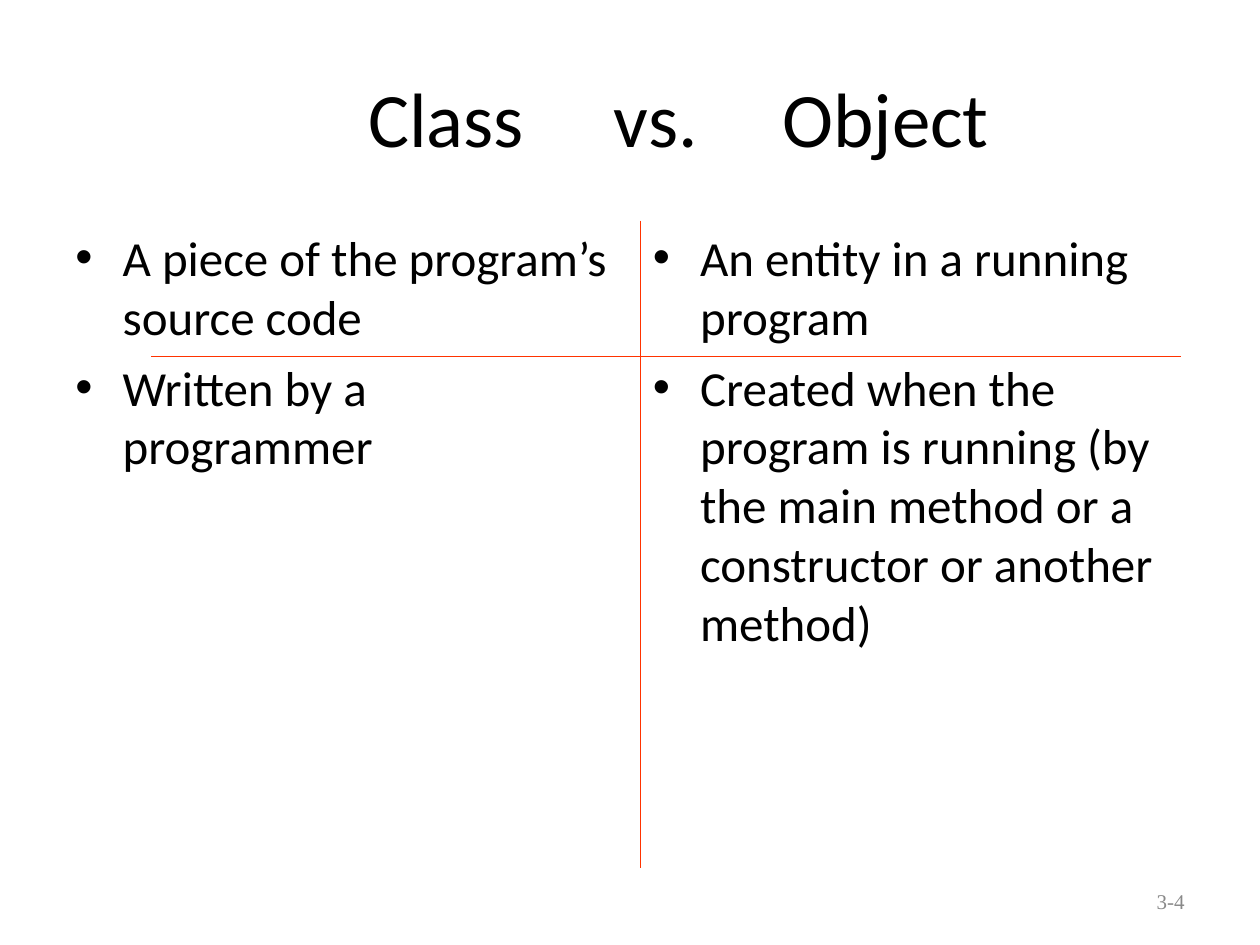
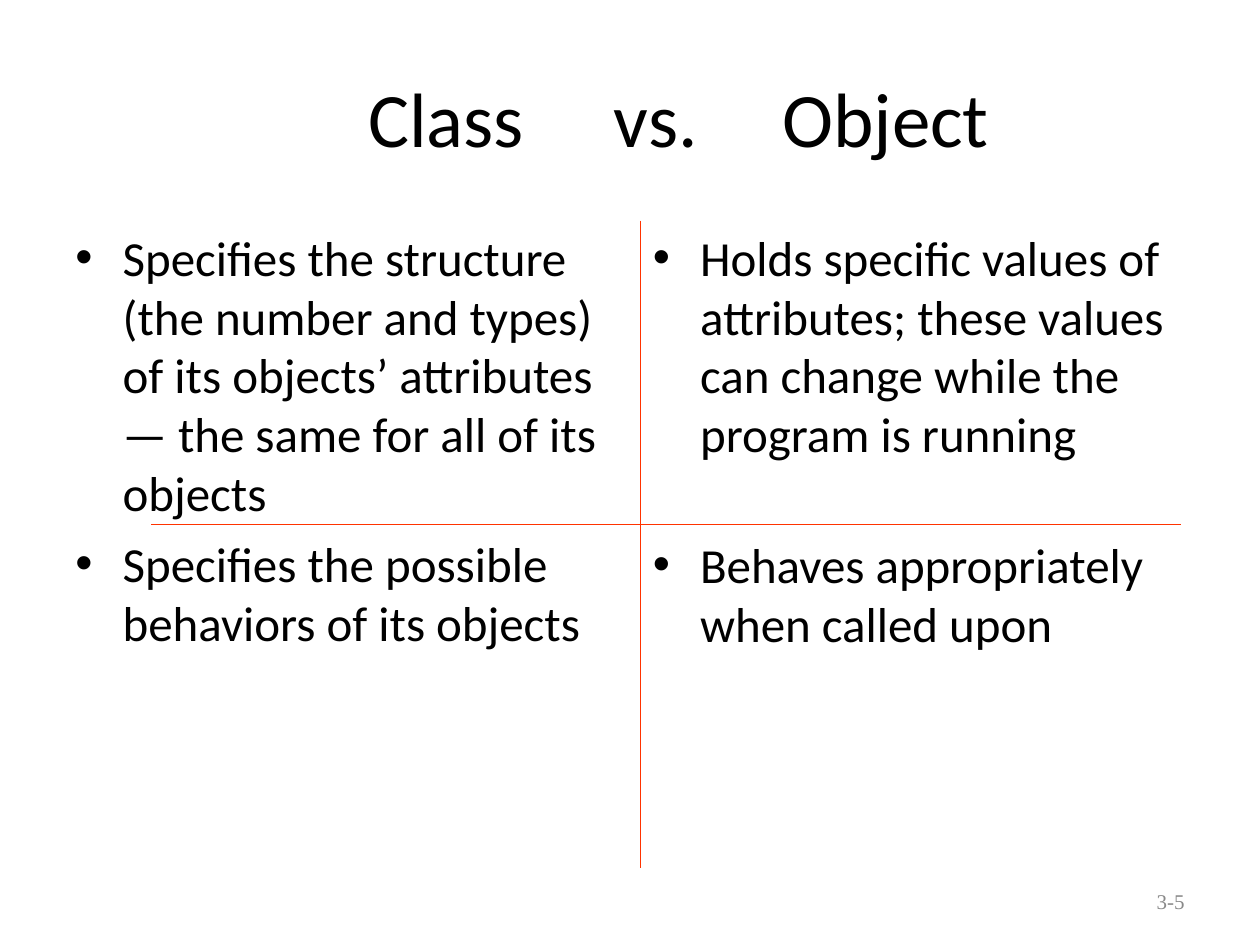
import pptx
import pptx.dml.color
import pptx.enum.shapes
import pptx.enum.text
import pptx.oxml.ns
import pptx.util
from lxml import etree
from pptx.util import Cm, Pt

# Shared look
BLACK, GREY, RED = "000000", "898989", "FF3300"
ALIGN = pptx.enum.text.PP_ALIGN
MIDDLE = pptx.enum.text.MSO_ANCHOR.MIDDLE
TITLE_FONT = {"name": "Calibri", "size": Pt(44), "bold": False}
BODY_FONT = {"name": "Calibri", "size": Pt(28)}
NUMBER_FONT = {"name": "Times New Roman", "size": Pt(12)}
FRAME = {"word_wrap": True, "auto_size": pptx.enum.text.MSO_AUTO_SIZE.NONE,
         "margin_left": Cm(0.25), "margin_right": Cm(0.25),
         "margin_top": Cm(0.13), "margin_bottom": Cm(0.13)}

# Shared geometry
SLIDE_WIDTH, SLIDE_HEIGHT = Cm(25.4), Cm(19.05)
MARGIN = Cm(1.27)
CONTENT_WIDTH = SLIDE_WIDTH - 2 * MARGIN
COLUMN_WIDTH = Cm(11.22)
COLUMN_LEFTS = (MARGIN, SLIDE_WIDTH - MARGIN - COLUMN_WIDTH)
COLUMN_TOP, COLUMN_HEIGHT = Cm(4.45), Cm(12.57)
TITLE_WORDS = ("Class", "vs.", "Object")
TITLE_START = Cm(6.15)
TITLE_TABS = (Cm(4.95), Cm(8.35))

# Each column lists its points as (text, space before in points)
SLIDES = [
    {"number": "3-4", "divider": Cm(7.19), "columns": [
        [("A piece of the program’s source code", 0),
         ("Written by a programmer", 7)],
        [("An entity in a running program", 0),
         ("Created when the program is running (by the main method or "
          "a constructor or another method)", 7)]]},
    {"number": "3-5", "divider": Cm(10.58), "columns": [
        [("Specifies the structure (the number and types) of its objects’ "
          "attributes — the same for all of its objects", 0),
         ("Specifies the possible behaviors of its objects", 7)],
        [("Holds specific values of attributes; these values can change "
          "while the program is running", 0),
         ("Behaves appropriately when called upon", 41)]]},
]


def color(value):
    return pptx.dml.color.RGBColor.from_string(value)


def apply(target, values):
    for name, value in values.items():
        setattr(target, name, value)


def place(shape, left, top, width, height):
    apply(shape, {"left": left, "top": top, "width": width, "height": height})
    apply(shape.text_frame, FRAME)


def style(paragraph, font, hex_color):
    apply(paragraph.font, font)
    paragraph.font.color.rgb = color(hex_color)


def add_tabs(paragraph, positions):
    properties = paragraph._p.get_or_add_pPr()
    tabs = etree.SubElement(properties, pptx.oxml.ns.qn("a:tabLst"))
    for position in positions:
        etree.SubElement(tabs, pptx.oxml.ns.qn("a:tab"), pos=str(position), algn="l")


def fill_title(slide):
    title = slide.shapes.title
    place(title, MARGIN, Cm(0.76), CONTENT_WIDTH, Cm(3.18))
    apply(title.text_frame, {"vertical_anchor": MIDDLE, "margin_left": TITLE_START})
    paragraph = title.text_frame.paragraphs[0]
    paragraph.text = "\t".join(TITLE_WORDS)
    paragraph.alignment = ALIGN.LEFT
    add_tabs(paragraph, TITLE_TABS)
    style(paragraph, TITLE_FONT, BLACK)


def fill_column(placeholder, left, points):
    place(placeholder, left, COLUMN_TOP, COLUMN_WIDTH, COLUMN_HEIGHT)
    frame = placeholder.text_frame
    for index, (text, space_before) in enumerate(points):
        paragraph = frame.add_paragraph() if index else frame.paragraphs[0]
        paragraph.text = text
        paragraph.space_before = Pt(space_before)
        style(paragraph, BODY_FONT, BLACK)


def add_number(slide, number):
    box = slide.shapes.add_textbox(0, 0, 0, 0)
    place(box, Cm(18.2), Cm(17.65), Cm(5.93), Cm(1.02))
    box.text_frame.vertical_anchor = MIDDLE
    paragraph = box.text_frame.paragraphs[0]
    paragraph.text = number
    paragraph.alignment = ALIGN.RIGHT
    style(paragraph, NUMBER_FONT, GREY)


def add_rule(slide, start, end):
    rule = slide.shapes.add_connector(
        pptx.enum.shapes.MSO_CONNECTOR.STRAIGHT, *start, *end)
    rule.line.color.rgb = color(RED)
    rule.line.width = Pt(0.75)
    etree.SubElement(rule._element.spPr, pptx.oxml.ns.qn("a:effectLst"))


def add_comparison(presentation, content):
    slide = presentation.slides.add_slide(presentation.slide_layouts[3])
    add_number(slide, content["number"])
    fill_title(slide)
    for index, (left, points) in enumerate(zip(COLUMN_LEFTS, content["columns"]), 1):
        fill_column(slide.placeholders[index], left, points)

    # Cross of rules between the four cells
    middle, divider = COLUMN_LEFTS[1], content["divider"]
    add_rule(slide, (middle, COLUMN_TOP), (middle, Cm(17.5)))
    add_rule(slide, (Cm(3.05), divider), (Cm(23.8), divider))


def main():
    presentation = pptx.Presentation()
    apply(presentation, {"slide_width": SLIDE_WIDTH, "slide_height": SLIDE_HEIGHT})
    for content in SLIDES:
        add_comparison(presentation, content)
    presentation.save("out.pptx")


if __name__ == "__main__":
    main()
